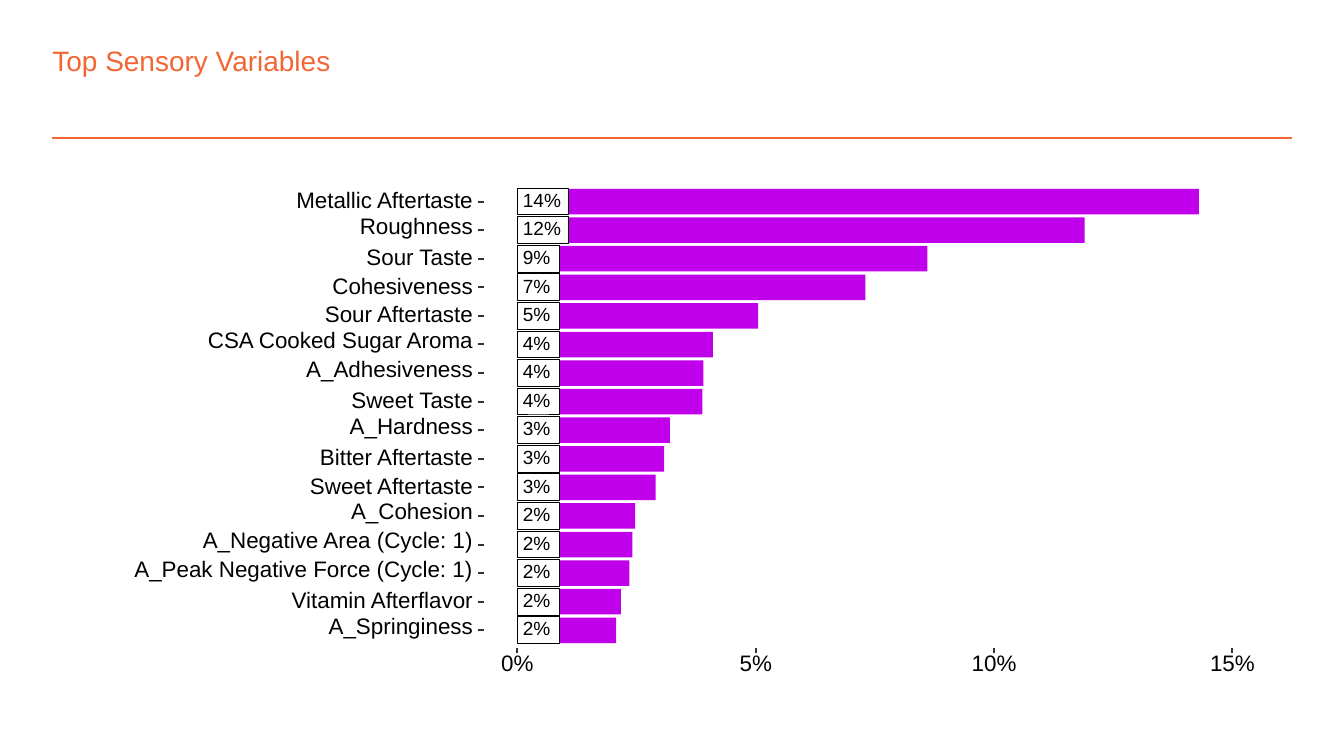
from lxml import etree
from pptx import Presentation
from pptx.dml.color import RGBColor
from pptx.enum.shapes import MSO_CONNECTOR, MSO_SHAPE
from pptx.enum.text import MSO_ANCHOR, PP_ALIGN
from pptx.oxml.ns import qn
from pptx.util import Inches, Pt

STRAIGHT = MSO_CONNECTOR.STRAIGHT
RECTANGLE = MSO_SHAPE.RECTANGLE
TOP, MIDDLE = MSO_ANCHOR.TOP, MSO_ANCHOR.MIDDLE
LEFT, CENTER, RIGHT = PP_ALIGN.LEFT, PP_ALIGN.CENTER, PP_ALIGN.RIGHT

ORANGE = RGBColor(0xF3, 0x66, 0x33)
PURPLE = RGBColor(0xC0, 0x00, 0xEB)
GREY = RGBColor(0x33, 0x33, 0x33)
BLACK = RGBColor(0x00, 0x00, 0x00)
WHITE = RGBColor(0xFF, 0xFF, 0xFF)

# Variable, share in percent, label width in inches
VARIABLES = [
    ("Metallic Aftertaste", 14.3, 1.35),
    ("Roughness", 11.9, 0.88),
    ("Sour Taste", 8.6, 0.85),
    ("Cohesiveness", 7.3, 1.08),
    ("Sour Aftertaste", 5.05, 1.14),
    ("CSA Cooked Sugar Aroma", 4.1, 2.02),
    ("A_Adhesiveness", 3.9, 1.28),
    ("Sweet Taste", 3.88, 0.96),
    ("A_Hardness", 3.2, 0.96),
    ("Bitter Aftertaste", 3.08, 1.18),
    ("Sweet Aftertaste", 2.9, 1.25),
    ("A_Cohesion", 2.47, 0.95),
    ("A_Negative Area (Cycle: 1)", 2.41, 2.06),
    ("A_Peak Negative Force (Cycle: 1)", 2.35, 2.56),
    ("Vitamin Afterflavor", 2.17, 1.4),
    ("A_Springiness", 2.07, 1.12),
]

AXIS_LEFT = 3.85
INCHES_PER_PERCENT = (9.17 - AXIS_LEFT) / 15
FIRST_ROW = 1.5
ROW_STEP = (4.69 - FIRST_ROW) / (len(VARIABLES) - 1)
BAR_HEIGHT = 0.19
TAG_HEIGHT = 0.2
TAG_TEXT_HEIGHT = 0.11
LABEL_RIGHT = 3.52

presentation = Presentation()
presentation.slide_width = Inches(10)
presentation.slide_height = Inches(10) * 9 // 16
slide = presentation.slides.add_slide(presentation.slide_layouts[6])
shapes = slide.shapes


def add_text(text, left, top, width, height, *, size=12, color=BLACK, align=LEFT,
             anchor=MIDDLE, wrap=False, spacing=None):
    box = shapes.add_textbox(Inches(left), Inches(top), Inches(width), Inches(height))
    frame = box.text_frame
    frame.word_wrap = wrap
    frame.vertical_anchor = anchor
    frame.margin_left = frame.margin_top = frame.margin_right = frame.margin_bottom = 0
    paragraph = frame.paragraphs[0]
    paragraph.alignment = align
    if spacing:
        paragraph.line_spacing = Pt(spacing)
    run = paragraph.add_run()
    run.text = text
    run.font.size = Pt(size)
    run.font.name = "Arial"
    run.font.color.rgb = color


def draw_line(x1, y1, x2, y2, color, width):
    line = shapes.add_connector(STRAIGHT, Inches(x1), Inches(y1), Inches(x2), Inches(y2))
    line.line.color.rgb = color
    line.line.width = Pt(width)
    etree.SubElement(line._element.spPr, qn("a:effectLst"))


# Heading
draw_line(0.39, 1.03, 9.61, 1.03, ORANGE, 1)
add_text("Top Sensory Variables", 0.39, 0.32, 8.29, 0.25,
         size=15, color=ORANGE, anchor=TOP, wrap=True)

# Chart panel
panel = shapes.add_shape(RECTANGLE, Inches(0.75), Inches(1.3), Inches(8.5), Inches(4))
panel.shadow.inherit = False
panel.fill.solid()
panel.fill.fore_color.rgb = WHITE
panel.line.color.rgb = WHITE
panel.line.width = Pt(1.07)

# One row per variable: bar, value tag, label and tick
for row, (name, share, label_width) in enumerate(VARIABLES):
    middle = FIRST_ROW + row * ROW_STEP

    bar = shapes.add_shape(RECTANGLE, Inches(AXIS_LEFT), Inches(middle - BAR_HEIGHT / 2),
                           Inches(share * INCHES_PER_PERCENT), Inches(BAR_HEIGHT))
    bar.shadow.inherit = False
    bar.fill.solid()
    bar.fill.fore_color.rgb = PURPLE
    bar.line.fill.background()

    tag_width = 0.38 if share >= 10 else 0.31
    tag = shapes.add_shape(RECTANGLE, Inches(AXIS_LEFT), Inches(middle - TAG_HEIGHT / 2),
                           Inches(tag_width), Inches(TAG_HEIGHT))
    tag.shadow.inherit = False
    tag.fill.solid()
    tag.fill.fore_color.rgb = WHITE
    tag.line.color.rgb = BLACK
    tag.line.width = Pt(0.53)
    add_text(f"{share:.0f}%", AXIS_LEFT + 0.04, middle - TAG_TEXT_HEIGHT / 2,
             tag_width - 0.06, TAG_TEXT_HEIGHT, size=10.2, spacing=10.2)

    # Names with descending letters are taller and sit slightly higher
    descends = any(letter in "_gpqy" for letter in name)
    label_height = 0.16 if descends else 0.12
    label_middle = middle - 0.02 if descends else middle
    add_text(name, LABEL_RIGHT - label_width, label_middle - label_height / 2,
             label_width, label_height, align=RIGHT, spacing=12)

    draw_line(3.56, middle, 3.6, middle, GREY, 1.07)

# Percent axis
for percent in range(0, 16, 5):
    x = AXIS_LEFT + percent * INCHES_PER_PERCENT
    draw_line(x, 4.82, x, 4.86, GREY, 1.07)
    width = 0.38 if percent >= 10 else 0.28
    add_text(f"{percent}%", x - width / 2, 4.88, width, 0.13, align=CENTER, spacing=12)

presentation.save("out.pptx")
